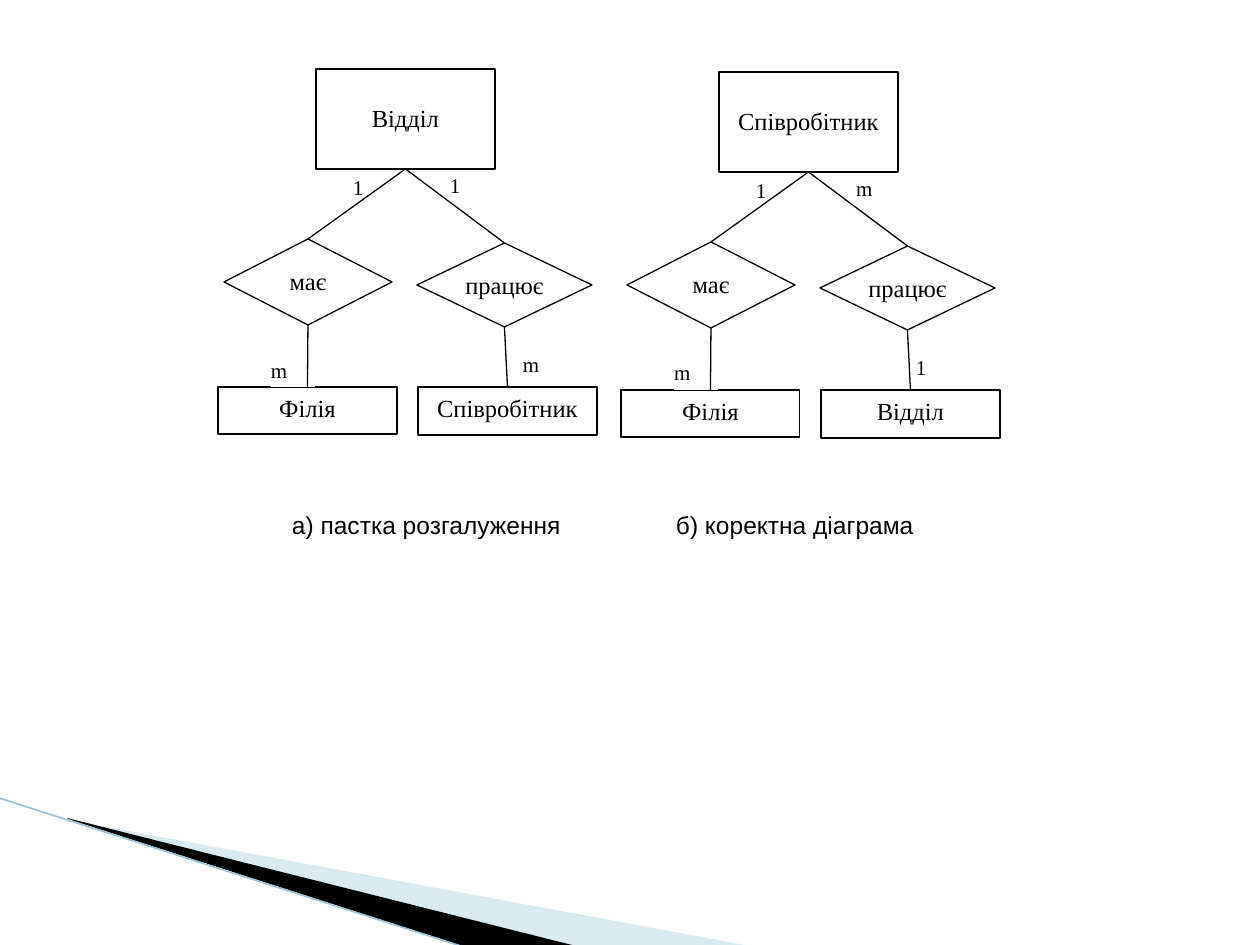
from lxml.etree import SubElement
from pptx import Presentation
from pptx.dml.color import RGBColor
from pptx.enum.shapes import MSO_CONNECTOR as LINE, MSO_SHAPE as SHAPE
from pptx.enum.text import MSO_ANCHOR as ANCHOR, PP_ALIGN as ALIGN
from pptx.oxml.ns import qn
from pptx.util import Pt

PX = 914400 // 126
SERIF, SANS = "Times New Roman", "Arial"
BLACK, WHITE = "000000", "FFFFFF"

# Diagram layout: left, top, width, height
TOP_BOX = (316, 69, 179, 100)
LEFT_DIAMOND, RIGHT_DIAMOND = (224, 239, 168, 86), (417, 243, 175, 84)
LEFT_BOX, RIGHT_BOX = (218, 387, 179, 47), (418, 387, 179, 48)
ONE_SIZE, LEFT_M_SIZE, RIGHT_M_SIZE = (23, 30), (44, 30), (32, 32)

# Each diagram: offset, entity names, cardinalities as (text, left, top, size)
DIAGRAMS = [
    dict(offset=(0, 0), top="Відділ", left="Філія", right="Співробітник",
         marks=[("1", 353, 175, ONE_SIZE), ("1", 450, 173, ONE_SIZE),
                ("m", 271, 357, LEFT_M_SIZE), ("m", 523, 352, RIGHT_M_SIZE)]),
    dict(offset=(403, 3), top="Співробітник", left="Філія", right="Відділ",
         marks=[("1", 353, 175, ONE_SIZE), ("m", 453, 173, RIGHT_M_SIZE),
                ("m", 271, 357, LEFT_M_SIZE), ("1", 513, 352, ONE_SIZE)]),
]
CAPTION = "а) пастка розгалуження\tб) коректна діаграма"
CAPTION_AREA, CAPTION_TAB = (280, 501, 653, 100), 384

# Corner decoration: points, fill, opacity in percent
WEDGES = [
    ([(69, 820), (750, 946), (575, 946), (69, 819)], "A0CBDC", 40),
    ([(67, 818), (576, 946), (469, 948), (68, 819)], BLACK, 100),
]
EDGE = ((-1, 798), (467, 948))


def px(*values):
    return [int(v * PX) for v in values]


def rgb(value):
    return RGBColor.from_string(value)


def set_text(sp, text, size, font, align, insets):
    tf = sp.text_frame
    tf.word_wrap = True
    tf.vertical_anchor = ANCHOR.TOP
    tf.margin_left, tf.margin_top, tf.margin_right, tf.margin_bottom = px(*insets)
    p = tf.paragraphs[0]
    p.text = text
    p.alignment = align
    p.font.size, p.font.name = Pt(size), font
    p.font.color.rgb = rgb(BLACK)
    return p


def add_node(kind, area, offset, text, insets):
    left, top, width, height = area
    sp = slide.shapes.add_shape(
        kind, *px(left + offset[0], top + offset[1], width, height))
    sp.shadow.inherit = False
    sp.fill.solid()
    sp.fill.fore_color.rgb = rgb(WHITE)
    sp.line.color.rgb = rgb(BLACK)
    sp.line.width = Pt(0.75)
    set_text(sp, text, 14, SERIF, ALIGN.CENTER, insets)
    return sp


def add_line(start, end, color, width):
    line = slide.shapes.add_connector(LINE.STRAIGHT, *px(*start, *end))
    line.line.color.rgb = rgb(color)
    line.line.width = Pt(width)
    SubElement(line._element.spPr, qn("a:effectLst"))
    return line


def join(upper, lower):
    """Connect the bottom of one node to the top of another."""
    line = add_line((0, 0), (0, 0), BLACK, 0.75)
    line.begin_connect(upper, 2)
    line.end_connect(lower, 0)


prs = Presentation()
prs.slide_width, prs.slide_height = px(1260, 945)
slide = prs.slides.add_slide(prs.slide_layouts[6])

# Corner decoration
for points, color, opacity in WEDGES:
    builder = slide.shapes.build_freeform(*points[0], scale=PX)
    builder.add_line_segments(points[1:], close=True)
    wedge = builder.convert_to_shape()
    wedge.shadow.inherit = False
    wedge.fill.solid()
    wedge.fill.fore_color.rgb = rgb(color)
    wedge.line.fill.background()
    if opacity < 100:
        clr = wedge._element.spPr.find(qn("a:solidFill"))[0]
        SubElement(clr, qn("a:alpha"), val=str(opacity * 1000))
add_line(*EDGE, "97C5D8", 0.95)

# Entity-relationship diagrams
for d in DIAGRAMS:
    offset = d["offset"]
    top = add_node(SHAPE.RECTANGLE, TOP_BOX, offset, d["top"], (12, 34, 12, 6))
    branches = [(LEFT_DIAMOND, "має", LEFT_BOX, d["left"]),
                (RIGHT_DIAMOND, "працює", RIGHT_BOX, d["right"])]
    nodes = []
    for diamond_area, relation, box_area, entity in branches:
        nodes.append((
            add_node(SHAPE.DIAMOND, diamond_area, offset, relation, (0, 6, 0, 6)),
            add_node(SHAPE.RECTANGLE, box_area, offset, entity, (12, 6, 12, 6))))
    for text, x, y, size in d["marks"]:
        mark = slide.shapes.add_textbox(*px(x + offset[0], y + offset[1], *size))
        if text == "m":
            mark.fill.solid()
            mark.fill.fore_color.rgb = rgb(WHITE)
        set_text(mark, text, 12, SERIF, ALIGN.LEFT, (0, 0, 0, 0))
    for diamond, box in nodes:
        join(top, diamond)
        join(diamond, box)

# Captions, set apart by a tab stop
caption = slide.shapes.add_textbox(*px(*CAPTION_AREA))
p = set_text(caption, CAPTION, 14, SANS, ALIGN.LEFT, (12, 9, 12, 6))
tabs = SubElement(p._p.get_or_add_pPr(), qn("a:tabLst"))
SubElement(tabs, qn("a:tab"), pos=str(CAPTION_TAB * PX), algn="l")
pPr = p._p.pPr
pPr.insert(0, tabs)

prs.save("out.pptx")
